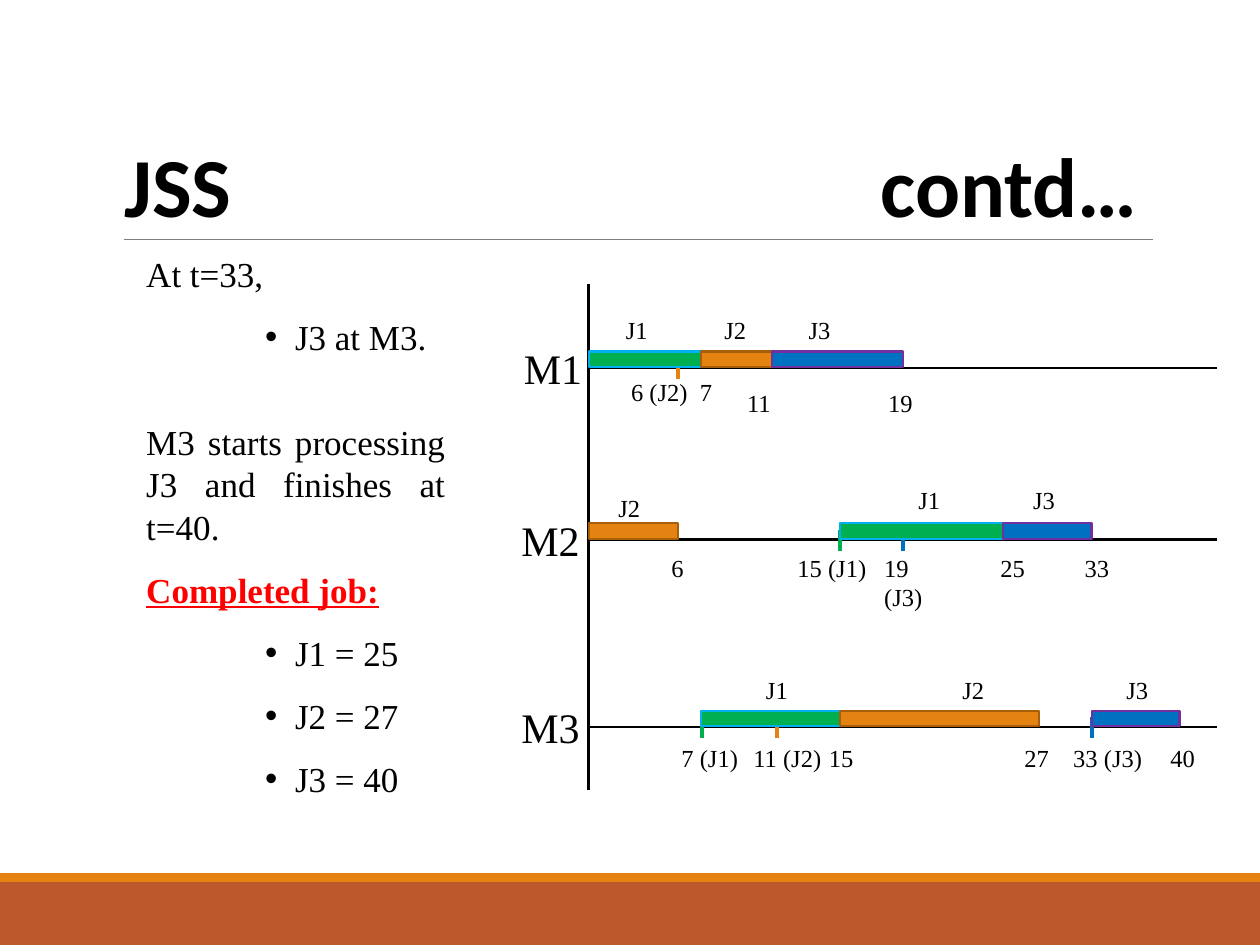
from lxml import etree
from pptx import Presentation
from pptx import util as u
from pptx.dml.color import RGBColor
from pptx.enum import shapes, text
from pptx.oxml import ns

Pt = u.Pt
BLACK = RGBColor(0x00, 0x00, 0x00)
RED = RGBColor(0xFF, 0x00, 0x00)
GREY = RGBColor(0x7F, 0x7F, 0x7F)
RUST = RGBColor(0xBD, 0x58, 0x2C)
ORANGE = RGBColor(0xE4, 0x83, 0x12)
BROWN = RGBColor(0xA7, 0x5F, 0x0A)
GREEN = RGBColor(0x00, 0xB0, 0x50)
CYAN = RGBColor(0x00, 0xB0, 0xF0)
BLUE = RGBColor(0x00, 0x70, 0xC0)
PURPLE = RGBColor(0x70, 0x30, 0xA0)
SERIF = "Times New Roman"

prs = Presentation()
prs.slide_width, prs.slide_height = Pt(720), Pt(540)
s = prs.slides.add_slide(prs.slide_layouts[6])


def add_line(x1, y1, x2, y2, color, width):
    ln = s.shapes.add_connector(shapes.MSO_CONNECTOR.STRAIGHT,
                                Pt(x1), Pt(y1), Pt(x2), Pt(y2))
    ln.line.color.rgb = color
    ln.line.width = Pt(width)
    etree.SubElement(ln._element.spPr, ns.qn("a:effectLst"))


def add_label(words, x, y, w, h, size, wrap=False):
    tf = s.shapes.add_textbox(Pt(x), Pt(y), Pt(w), Pt(h)).text_frame
    tf.word_wrap = wrap
    r = tf.paragraphs[0].add_run()
    r.text = words
    r.font.name, r.font.size, r.font.color.rgb = SERIF, Pt(size), BLACK


# Footer bands and the rule under the title
for top, height, color in [(504, 36, RUST), (499, 5, ORANGE)]:
    sp = s.shapes.add_shape(shapes.MSO_SHAPE.RECTANGLE, 0, Pt(top), Pt(720), Pt(height))
    sp.shadow.inherit = False
    sp.fill.solid()
    sp.fill.fore_color.rgb = color
    sp.line.fill.background()
add_line(70.6, 136.8, 658.8, 136.8, GREY, 0.5)

# Title, with tab stops every inch
tf = s.shapes.add_textbox(Pt(64), Pt(23), Pt(594), Pt(114.5)).text_frame
tf.word_wrap = True
tf.vertical_anchor = text.MSO_ANCHOR.BOTTOM
p = tf.paragraphs[0]
p.line_spacing = 0.85
tabs = etree.SubElement(p._p.get_or_add_pPr(), ns.qn("a:tabLst"))
for inch in range(8):
    etree.SubElement(tabs, ns.qn("a:tab"), pos=str(Pt(72 * inch)), algn="l")
r = p.add_run()
r.text = "JSS\t\t\t\t\t\tcontd…"
r.font.name, r.font.size, r.font.bold = "Calibri", Pt(48), True
r.font.color.rgb = BLACK

# Explanation: (words, bulleted, heading, space before)
notes = [
    ("At t=33,", False, False, 0),
    ("J3 at M3.", True, False, 0),
    ("M3 starts processing J3 and finishes at t=40.", False, False, 24),
    ("Completed job:", False, True, 0),
    ("J1 = 25", True, False, 0),
    ("J2 = 27", True, False, 0),
    ("J3 = 40", True, False, 0),
]
tf = s.shapes.add_textbox(Pt(76.5), Pt(141), Pt(185), Pt(319.5)).text_frame
tf.word_wrap = True
for i, (words, bulleted, heading, before) in enumerate(notes):
    p = tf.add_paragraph() if i else tf.paragraphs[0]
    p.alignment = text.PP_ALIGN.JUSTIFY
    p.space_before, p.space_after = Pt(before), Pt(12)
    if bulleted:
        pPr = p._p.get_or_add_pPr()
        pPr.set("marL", str(Pt(85)))
        pPr.set("indent", str(Pt(-17)))
        etree.SubElement(pPr, ns.qn("a:buFont"), typeface="Arial")
        etree.SubElement(pPr, ns.qn("a:buChar"), char="•")
    r = p.add_run()
    r.text = words
    r.font.name, r.font.size = SERIF, Pt(20)
    r.font.bold = r.font.underline = heading
    r.font.color.rgb = RED if heading else BLACK

# Gantt chart: job colours and the place of each time on the axis
JOBS = {"J1": (GREEN, CYAN), "J2": (ORANGE, BROWN), "J3": (BLUE, PURPLE)}
TIME_X = {0: 336.5, 6: 387.4, 7: 400.7, 11: 441, 15: 480, 19: 516.2,
          25: 573, 27: 594, 33: 623.8, 40: 674}

# Machine: name, name left, axis y, bars (job, start, end, label left, label rise),
# arrivals (job, x), times (words, left, drop, width)
machines = [
    ("M1", 292.3, 210.2,
     [("J1", 0, 7, 350.6, 33.5), ("J2", 7, 11, 406.8, 33.5), ("J3", 11, 19, 455, 33.5)],
     [("J2", 387.4)],
     [("6 (J2)  7", 353.5, 1.5, 63.4), ("11", 419.8, 8, 30.2), ("19", 500.4, 8, 30.2)]),
    ("M2", 290.9, 308.2,
     [("J2", 0, 6, 346.3, 30), ("J1", 15, 25, 517.7, 34.5), ("J3", 25, 33, 583.2, 34.5)],
     [("J3", 516.2), ("J1", 480.2)],
     [("6", 376.6, 4, 23.8), ("15 (J1)", 448.6, 4, 59.8), ("19 (J3)", 498.2, 4, 51),
      ("25", 564.5, 4, 30.2), ("33", 612.7, 4, 30.2)]),
    ("M3", 290.9, 415.4,
     [("J1", 7, 15, 430.6, 33.5), ("J2", 15, 27, 542.9, 33.5), ("J3", 33, 40, 636.5, 33.5)],
     [("J1", 401), ("J2", 444.2), ("J3", 624.2)],
     [("7 (J1)", 382.3, 5.5, 51.8), ("11 (J2)", 423.4, 5.5, 59.8), ("15", 466.6, 5.5, 30.2),
      ("27", 578.2, 5.5, 30.2), ("33 (J3)", 606.2, 5.5, 56.2), ("40", 661.7, 5.5, 30.2)]),
]
add_line(336.2, 162, 336.2, 451.4, BLACK, 1.5)
for name, name_x, y, bars, arrivals, times in machines:
    add_line(336.2, y, 695.5, y, BLACK, 1.5)
    add_label(name, name_x, y - 18, 50.4, 36, 24)
    for job, x in arrivals:
        add_line(x, y - 5.5, x, y + 6.5, JOBS[job][0], 2.25)
    for job, start, end, label_x, rise in bars:
        left, right = TIME_X[start], TIME_X[end]
        sp = s.shapes.add_shape(shapes.MSO_SHAPE.RECTANGLE, Pt(left), Pt(y - 9.3),
                                Pt(right - left), Pt(9))
        sp.shadow.inherit = False
        sp.fill.solid()
        sp.fill.fore_color.rgb, sp.line.color.rgb = JOBS[job]
        sp.line.width = Pt(1.25)
        add_label(job, label_x, y - rise, 27.4, 24.5, 14)
    for words, x, drop, width in times:
        wrap = words == "19 (J3)"
        add_label(words, x, y + drop, width, 41 if wrap else 24.5, 14, wrap)

prs.save("out.pptx")
